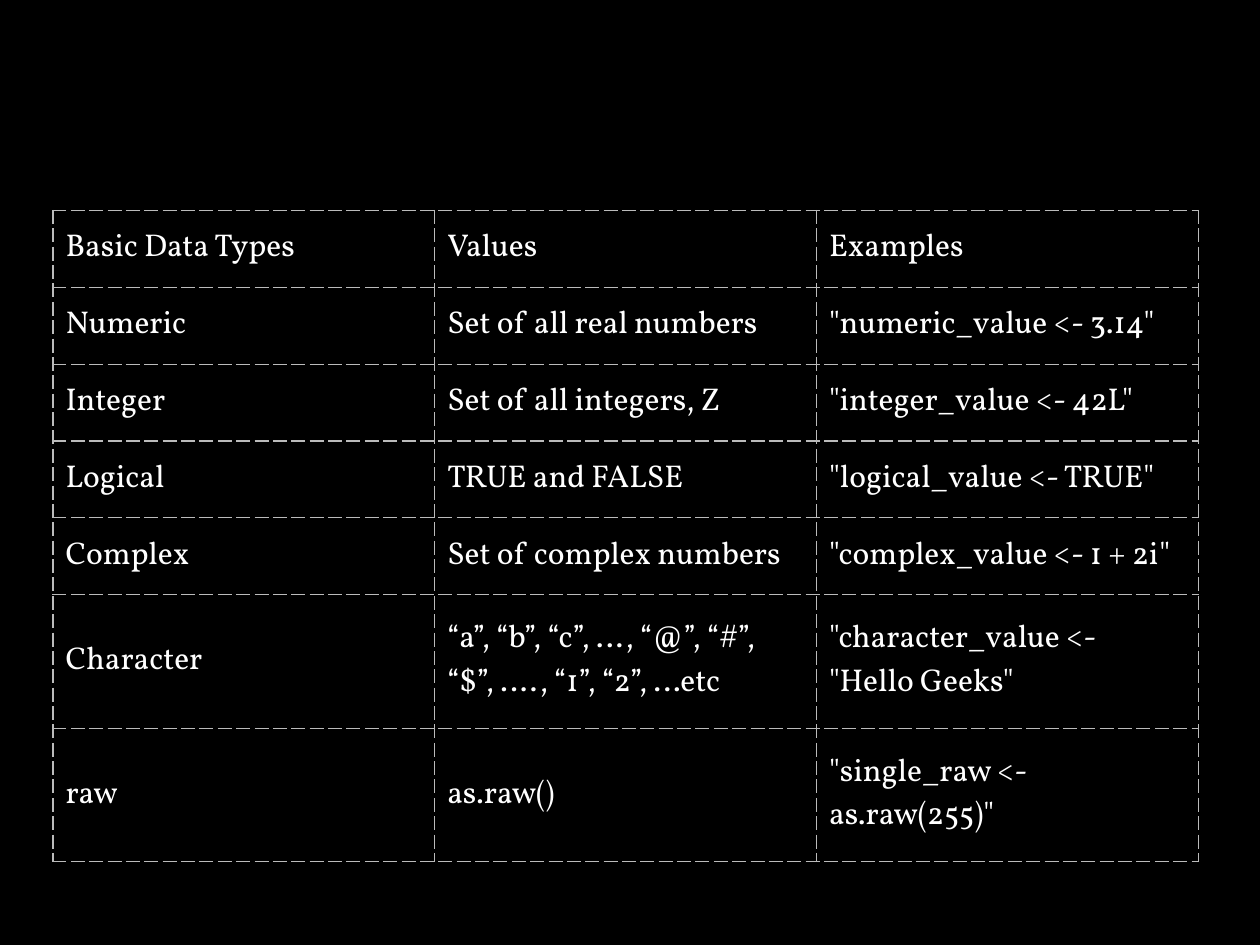
from lxml.etree import SubElement
from pptx import Presentation
from pptx.dml.color import RGBColor
from pptx.enum.text import MSO_ANCHOR
from pptx.oxml.ns import qn
from pptx.util import Pt

PX = 9144
FONT = "Vollkorn"
COLORS = {"background": "000000", "text": "FFFFFF", "border": "BBBBBB"}
COL_WIDTH = 303
ROW_HEIGHTS = [61] * 5 + [106] * 2
DATA_TYPES = [
    ("Basic Data Types", "Values", "Examples"),
    ("Numeric", "Set of all real numbers", '"numeric_value <- 3.14"'),
    ("Integer", "Set of all integers, Z", '"integer_value <- 42L"'),
    ("Logical", "TRUE and FALSE", '"logical_value <- TRUE"'),
    ("Complex", "Set of complex numbers", '"complex_value <- 1 + 2i"'),
    ("Character", "“a”, “b”, “c”, …, “@”, “#”, “$”, …., “1”, “2”, …etc",
     '"character_value <- "Hello Geeks"'),
    ("raw", "as.raw()", '"single_raw <- as.raw(255)"'),
]


def px(n):
    """Turn px into EMU."""
    return n * PX


def color(name):
    """Look up a colour by name."""
    return RGBColor.from_string(COLORS[name])


def write(tf, text, size=18, fill="text", bold=False):
    """Put one formatted run into a text frame."""
    r = tf.paragraphs[0].add_run()
    r.text = text
    r.font.name = FONT
    r.font.size = Pt(size)
    r.font.bold = bold
    r.font.color.rgb = color(fill)


def add_borders(cell, width=0.75, dash="dash"):
    """Draw a dashed line on all four sides of a cell."""
    tcPr = cell._tc.get_or_add_tcPr()
    for side in ("lnL", "lnR", "lnT", "lnB"):
        ln = SubElement(tcPr, qn(f"a:{side}"), w=str(Pt(width)))
        fill = SubElement(ln, qn("a:solidFill"))
        SubElement(fill, qn("a:srgbClr"), val=COLORS["border"])
        SubElement(ln, qn("a:prstDash"), val=dash)


def add_data_table(s, left, top, rows):
    """Add the table of data types."""
    n_cols = len(rows[0])
    frame = s.shapes.add_table(len(rows), n_cols, px(left), px(top),
                               px(COL_WIDTH * n_cols), px(sum(ROW_HEIGHTS)))
    table = frame.table
    table.horz_banding = False
    for col in table.columns:
        col.width = px(COL_WIDTH)
    for row, height, texts in zip(table.rows, ROW_HEIGHTS, rows):
        row.height = px(height)
        for cell, text in zip(row.cells, texts):
            add_borders(cell)
            cell.fill.background()
            cell.vertical_anchor = MSO_ANCHOR.MIDDLE
            write(cell.text_frame, text)


def main():
    """Build the slide and save it."""
    prs = Presentation()
    prs.slide_width, prs.slide_height = px(1000), px(750)
    s = prs.slides.add_slide(prs.slide_layouts[6])
    s.background.fill.solid()
    s.background.fill.fore_color.rgb = color("background")
    add_data_table(s, 42, 167, DATA_TYPES)
    prs.save("out.pptx")


if __name__ == "__main__":
    main()
